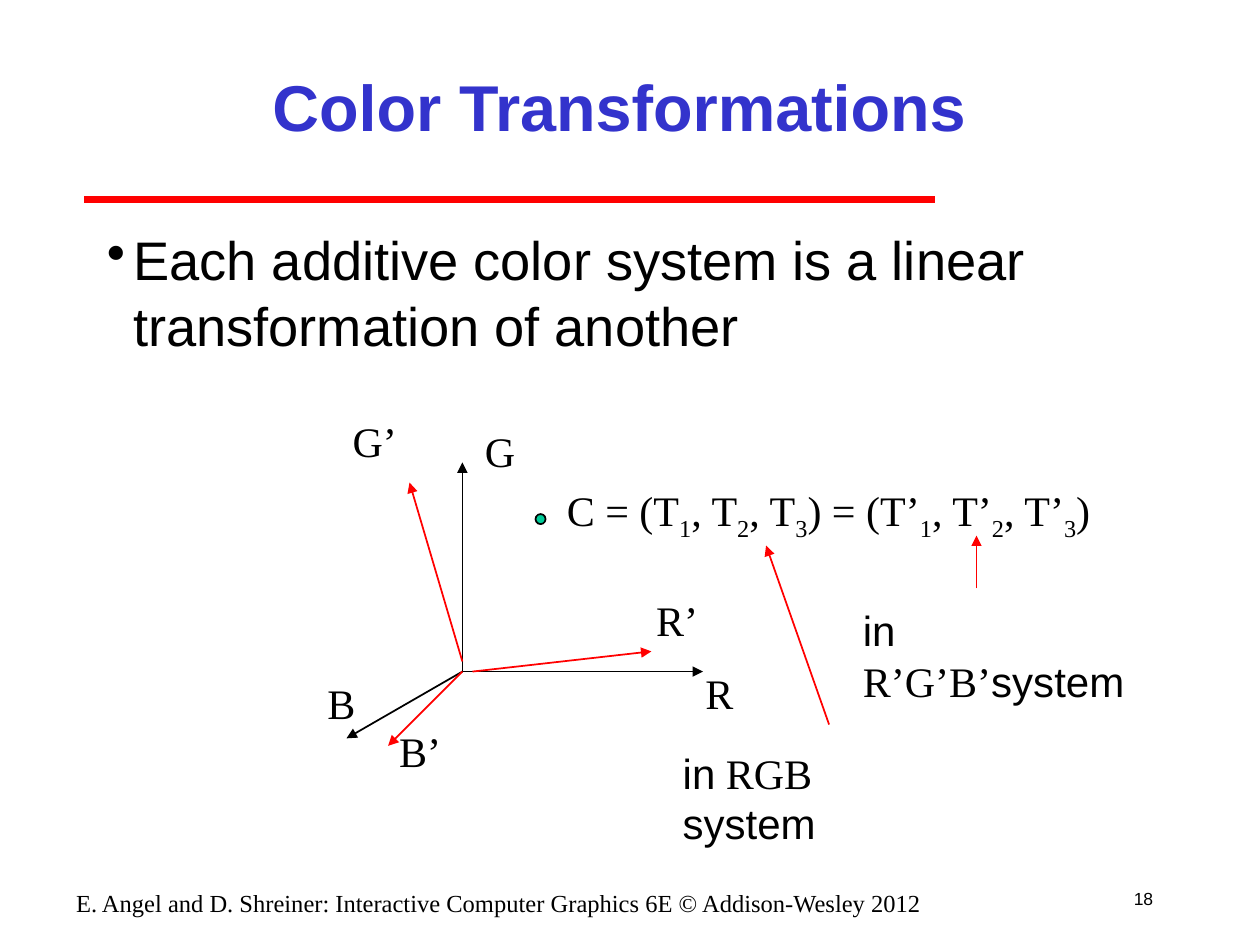
from lxml import etree
from pptx import Presentation
from pptx.dml.color import RGBColor
from pptx.enum.shapes import MSO_CONNECTOR as CONN, MSO_SHAPE as SHAPE
from pptx.enum.text import MSO_ANCHOR as ANCHOR, PP_ALIGN as ALIGN
from pptx.oxml.ns import qn
from pptx.util import Inches, Pt

SANS, SERIF = "Arial", "Times New Roman"
BLACK, RED, BLUE, GREEN = "000000", "FF0000", "3333CC", "00CC99"


def color(hex_string):
    return RGBColor.from_string(hex_string)


def add_text(box, text, size, font, fill=BLACK, align=ALIGN.LEFT,
             anchor=ANCHOR.TOP, wrap=True):
    tf = s.shapes.add_textbox(*map(Inches, box)).text_frame
    tf.word_wrap = wrap
    tf.vertical_anchor = anchor
    p = tf.paragraphs[0]
    p.text = text
    p.alignment = align
    p.font.size = Pt(size)
    p.font.name = font
    p.font.color.rgb = color(fill)
    return p


prs = Presentation()
prs.slide_width, prs.slide_height = Inches(10), Inches(7.5)
s = prs.slides.add_slide(prs.slide_layouts[6])

add_text((8.83, 6.92, 0.42, 0.42), "18", 10, SANS,
         align=ALIGN.RIGHT, anchor=ANCHOR.MIDDLE)
add_text((0.5, 7, 6.92, 0.25),
         "E. Angel and D. Shreiner: Interactive Computer Graphics 6E © Addison-Wesley 2012",
         14, SERIF, align=ALIGN.CENTER)
p = add_text((1.5, 0.25, 6.83, 1.17), "Color Transformations", 37, SANS, BLUE,
             ALIGN.CENTER, ANCHOR.MIDDLE)
p.font.bold = True

p = add_text((0.75, 1.75, 8.5, 5.17),
             "Each additive color system is a linear transformation of another",
             31, SANS)
pPr = p._p.get_or_add_pPr()
pPr.set("marL", str(Inches(0.21)))
pPr.set("indent", str(Inches(-0.21)))
bullet = etree.Element(qn("a:buChar"), char="•")
pPr.insert(0, bullet)

lines = [
    ((0.67, 1.58), (7.42, 1.58), RED, 4, False),
    ((3.67, 5.33), (5.58, 5.33), BLACK, 1, True),
    ((3.67, 5.33), (3.67, 3.67), BLACK, 1, True),
    ((3.67, 5.33), (2.75, 5.86), BLACK, 1, True),
    ((3.75, 5.33), (5.17, 5.17), RED, 1, True),
    ((3.67, 5.25), (3.25, 3.83), RED, 1, True),
    ((3.67, 5.33), (3.08, 5.92), RED, 1, True),
    ((6.58, 5.75), (6.08, 4.33), RED, 1, True),
    ((7.75, 4.67), (7.75, 4.25), RED, 1, True),
]
for start, end, stroke, width, arrow in lines:
    line = s.shapes.add_connector(CONN.STRAIGHT, *map(Inches, start + end))
    line.line.color.rgb = color(stroke)
    line.line.width = Pt(width)
    if arrow:
        etree.SubElement(line.line._get_or_add_ln(), qn("a:tailEnd"), type="triangle")
    etree.SubElement(line._element.spPr, qn("a:effectLst"))

axis_labels = [
    ("R", 5.5, 5.25, 0.42), ("R’", 5.11, 4.67, 0.53),
    ("G", 3.75, 3.33, 0.44), ("G’", 2.7, 3.25, 0.55),
    ("B", 2.5, 5.33, 0.42), ("B’", 3.07, 5.71, 0.53),
]
for text, left, top, width in axis_labels:
    add_text((left, top, width, 0.5), text, 24, SERIF, wrap=False)

point = s.shapes.add_shape(SHAPE.OVAL, Inches(4.25), Inches(4.08),
                           Inches(0.08), Inches(0.08))
point.shadow.inherit = False
point.fill.solid()
point.fill.fore_color.rgb = color(GREEN)
point.line.color.rgb = color(BLACK)
point.line.width = Pt(1)

p = add_text((4.4, 3.8, 4.38, 0.56), "", 24, SERIF, wrap=False)
terms = ["C = (T", ", T", ", T", ") = (T’", ", T’", ", T’"]
for i, term in enumerate(terms):
    p.add_run().text = term
    r = p.add_run()
    r.text = str(i % 3 + 1)
    r.font._element.set("baseline", "-25000")
p.add_run().text = ")"

systems = [
    ((5.32, 5.88, 2.36, 0.5), " RGB "),
    ((6.75, 4.75, 2.61, 0.5), " R’G’B’"),
]
for box, name in systems:
    p = add_text(box, "", 24, SANS, wrap=False)
    for text, font in (("in", SANS), (name, SERIF), ("system", SANS)):
        r = p.add_run()
        r.text = text
        r.font.name = font

prs.save("out.pptx")
